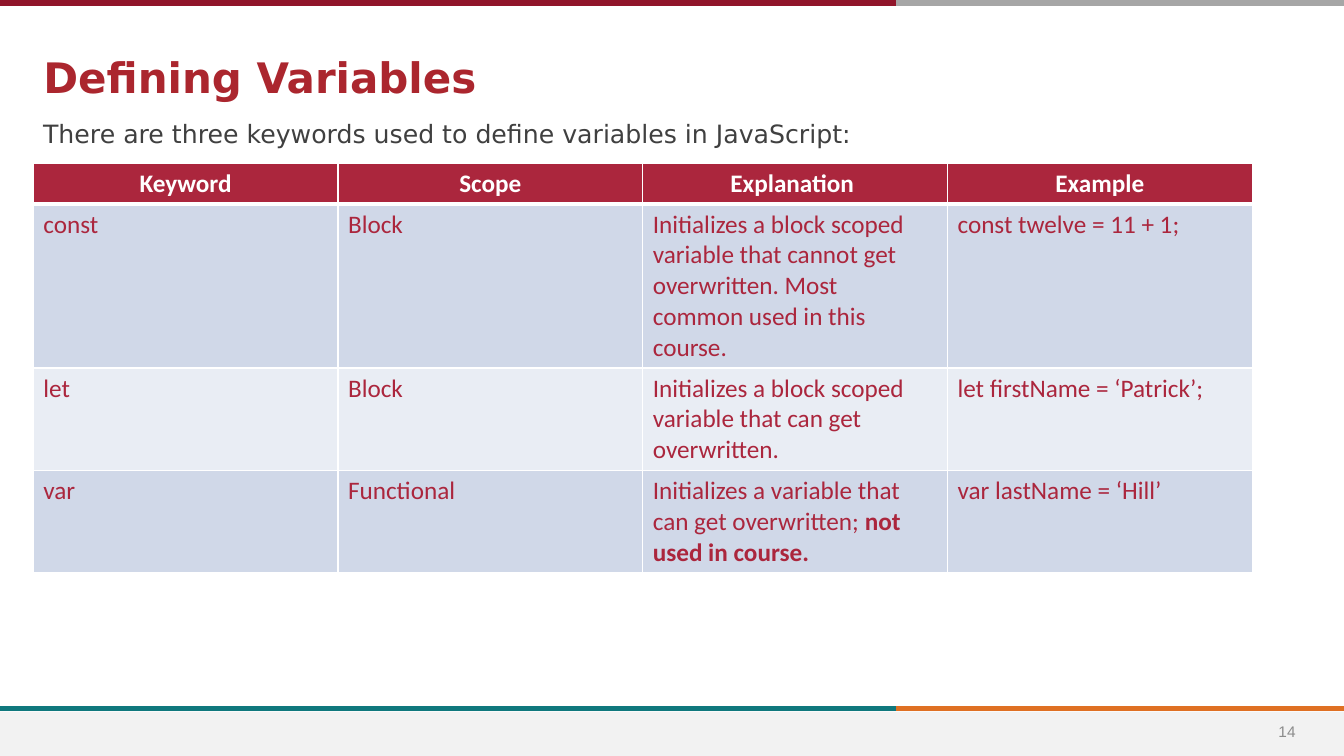
import pptx
import pptx.dml.color
import pptx.enum.shapes
import pptx.enum.text
import pptx.oxml
import pptx.oxml.ns
import pptx.util

Inches, Pt = pptx.util.Inches, pptx.util.Pt
RGB = pptx.dml.color.RGBColor.from_string
ALIGN, ANCHOR = pptx.enum.text.PP_ALIGN, pptx.enum.text.MSO_ANCHOR

THEME = {
    "title": {"name": "DejaVu Sans", "size": Pt(30), "bold": True, "color": "AB262E"},
    "intro": {"name": "DejaVu Sans", "size": Pt(18), "bold": False, "color": "404040"},
    "number": {"name": "Arial", "size": Pt(11), "bold": False, "color": "8C8C8C"},
    "header": {"name": "Calibri", "size": Pt(18), "bold": True, "color": "FFFFFF"},
    "cell": {"name": "Calibri", "size": Pt(18), "bold": False, "color": "AB263D"},
    "strong": {"name": "Calibri", "size": Pt(18), "bold": True, "color": "AB263D"},
    "header fill": "AB263D",
    "bands": ("E9EDF4", "D0D8E8"),
    "grid": "FFFFFF",
    "footer": "F2F2F2",
    "top rules": ("90152A", "A6A6A6"),
    "bottom rules": ("0F787D", "DF7023"),
}

WIDTH, HEIGHT = 13.33, 7.5
MARGIN = 0.33
SPLIT = WIDTH * 2 / 3
FOOTER_TOP = HEIGHT - 0.44
TABLE_WIDTH, ROW = 12.09, 0.4


def write(paragraph, text, style):
    run = paragraph.add_run()
    run.text = text
    for attribute, value in THEME[style].items():
        if attribute == "color":
            run.font.color.rgb = RGB(value)
        else:
            setattr(run.font, attribute, value)


def place(box, left, top, width, height):
    places = {"left": left, "top": top, "width": width, "height": height}
    for attribute, value in places.items():
        setattr(box, attribute, Inches(value))


deck = pptx.Presentation()
deck.slide_width, deck.slide_height = Inches(WIDTH), Inches(HEIGHT)
slide = deck.slides.add_slide(deck.slide_layouts[5])
shapes = slide.shapes

# Footer band
footer = shapes.add_shape(
    pptx.enum.shapes.MSO_SHAPE.RECTANGLE,
    0, Inches(FOOTER_TOP), Inches(WIDTH), Inches(HEIGHT - FOOTER_TOP))
footer.shadow.inherit = False
footer.fill.solid()
footer.fill.fore_color.rgb = RGB(THEME["footer"])
footer.line.fill.background()

# Two-colour rules at the top and above the footer
for y, colors in ((0.03, THEME["top rules"]), (FOOTER_TOP - 0.03, THEME["bottom rules"])):
    for start, end, color in zip((0, SPLIT), (SPLIT, WIDTH), colors):
        rule = shapes.add_connector(
            pptx.enum.shapes.MSO_CONNECTOR.STRAIGHT,
            Inches(start), Inches(y), Inches(end), Inches(y))
        rule.line.color.rgb = RGB(color)
        rule.line.width = Pt(4)
        rule._element.spPr.append(pptx.oxml.parse_xml(
            f'<a:effectLst {pptx.oxml.ns.nsdecls("a")}/>'))

# Title, introduction and slide number
title = shapes.title
place(title, MARGIN, 0.46, 10.65, 0.59)
intro = shapes.add_textbox(0, 0, 0, 0)
place(intro, MARGIN, 1.12, WIDTH - 2 * MARGIN, 0.4)
number = shapes.add_textbox(0, 0, 0, 0)
place(number, 12.42, FOOTER_TOP, 0.69, 0.4)

for box, text, style, align, anchor in (
    (title, "Defining Variables", "title", ALIGN.LEFT, ANCHOR.TOP),
    (intro, "There are three keywords used to define variables in JavaScript:",
     "intro", ALIGN.LEFT, ANCHOR.TOP),
    (number, "14", "number", ALIGN.CENTER, ANCHOR.MIDDLE),
):
    frame = box.text_frame
    frame_format = {"word_wrap": True, "vertical_anchor": anchor,
                    "auto_size": pptx.enum.text.MSO_AUTO_SIZE.NONE}
    for attribute, value in frame_format.items():
        setattr(frame, attribute, value)
    frame.paragraphs[0].alignment = align
    write(frame.paragraphs[0], text, style)

intro_spacing = {"line_spacing": Pt(22), "space_before": Pt(3.4), "space_after": Pt(12)}
for attribute, value in intro_spacing.items():
    setattr(intro.text_frame.paragraphs[0], attribute, value)

# Keyword table: a cell with two strings ends in bold
keywords = (
    (("Keyword",), ("Scope",), ("Explanation ",), ("Example",)),
    (("const",), ("Block",),
     ("Initializes a block scoped variable that cannot get overwritten. "
      "Most  common used in this course.",),
     ("const twelve = 11 + 1;",)),
    (("let",), ("Block",),
     ("Initializes a block scoped variable that can get overwritten.",),
     ("let firstName = ‘Patrick’;",)),
    (("var",), ("Functional",),
     ("Initializes a variable that can get overwritten; ", "not used in course."),
     ("var lastName = ‘Hill’",)),
)
rows, columns = len(keywords), len(keywords[0])
table = shapes.add_table(
    rows, columns, Inches(MARGIN), Inches(1.62),
    Inches(TABLE_WIDTH), Inches(rows * ROW)).table
for column in table.columns:
    column.width = Inches(TABLE_WIDTH / columns)

for r, entries in enumerate(keywords):
    table.rows[r].height = Inches(ROW)
    for c, texts in enumerate(entries):
        cell = table.cell(r, c)
        paragraph = cell.text_frame.paragraphs[0]
        paragraph.alignment = ALIGN.LEFT if r else ALIGN.CENTER
        for text, style in zip(texts, ("cell" if r else "header", "strong")):
            write(paragraph, text, style)

        # White grid, thicker under the header
        borders = {"lnL": 1, "lnR": 1, "lnT": 3 if r == 1 else 1, "lnB": 1 if r else 3}
        for side, points in borders.items():
            cell._tc.get_or_add_tcPr().append(pptx.oxml.parse_xml(
                f'<a:{side} {pptx.oxml.ns.nsdecls("a")} w="{Pt(points)}"><a:solidFill>'
                f'<a:srgbClr val="{THEME["grid"]}"/></a:solidFill></a:{side}>'))
        cell.fill.solid()
        cell.fill.fore_color.rgb = RGB(THEME["bands"][r % 2] if r else THEME["header fill"])

deck.save("out.pptx")
